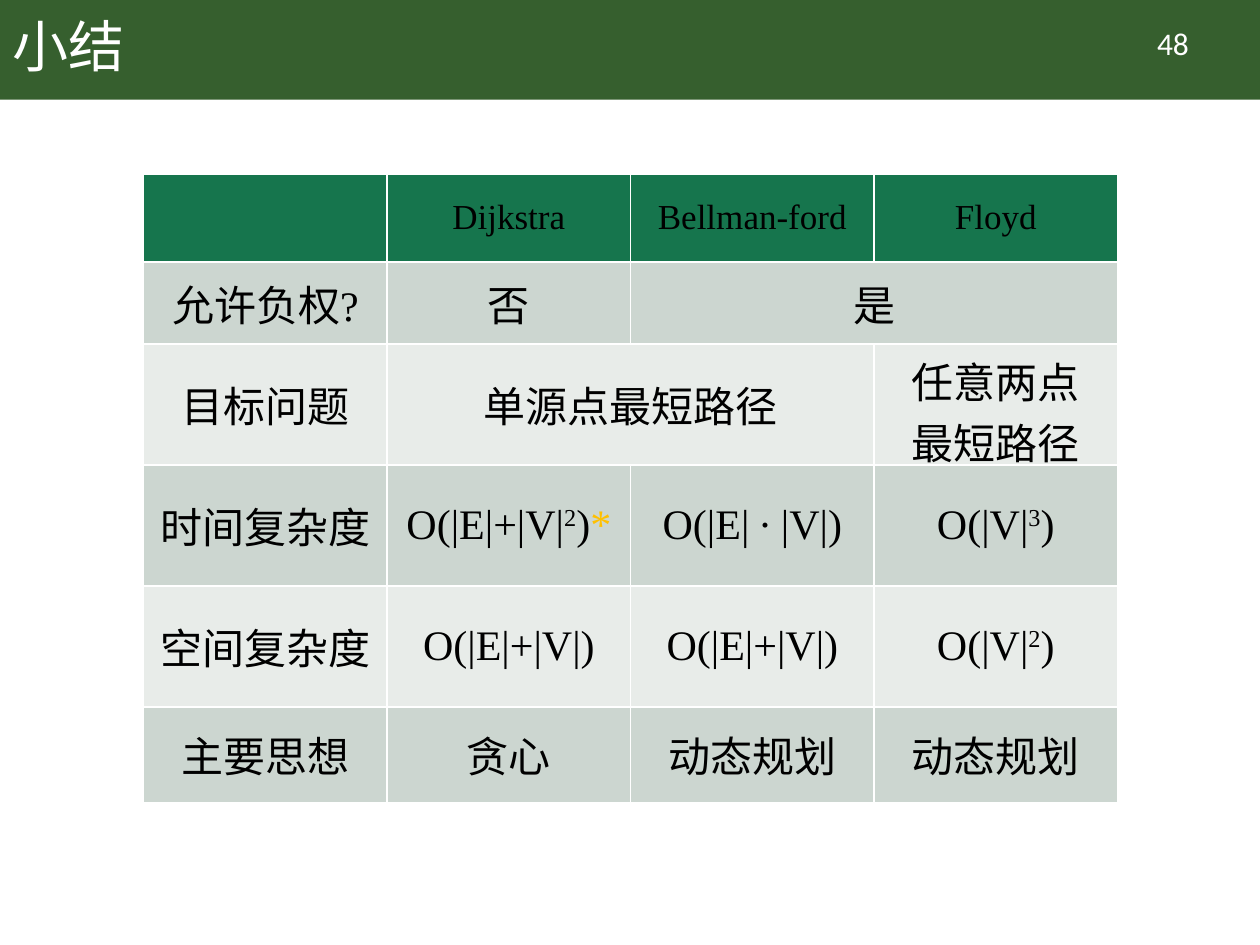
import pptx
import pptx.dml.color
import pptx.enum.shapes
import pptx.enum.text
import pptx.util

Inches = pptx.util.Inches
ALIGN = pptx.enum.text.PP_ALIGN
MIDDLE = pptx.enum.text.MSO_ANCHOR.MIDDLE

BAND_COLOR = "365F2E"
HEADER_COLOR = "16754D"
ROW_COLORS = ["CCD6D0", "E8ECE9"]
SQUARED = ("2", {"baseline": "30000"})
CUBED = ("3", {"baseline": "30000"})
STAR = ("*", {"color": "FFC000"})
SPAN = None

ROWS = [
    ["", "Dijkstra", "Bellman-ford", "Floyd"],
    ["允许负权?", "否", "是", SPAN],
    ["目标问题", "单源点最短路径", SPAN, "任意两点\n最短路径"],
    ["时间复杂度", ["O(|E|+|V|", SQUARED, ")", STAR], "O(|E| ∙ |V|)", ["O(|V|", CUBED, ")"]],
    ["空间复杂度", "O(|E|+|V|)", "O(|E|+|V|)", ["O(|V|", SQUARED, ")"]],
    ["主要思想", "贪心", "动态规划", "动态规划"],
]
ROW_HEIGHTS = [0.7, 0.65, 0.96, 0.96, 0.96, 0.76]
TABLE_LEFT, TABLE_TOP, TABLE_WIDTH = 1.14, 1.38, 7.73


def rgb(color):
    return pptx.dml.color.RGBColor.from_string(color)


def paint(target, color):
    target.fill.solid()
    target.fill.fore_color.rgb = rgb(color)


def write_text(frame, text, size, color="000000", font="Times New Roman",
               align=ALIGN.CENTER, line_spacing=None):
    paragraph = frame.paragraphs[0]
    paragraph.alignment = align
    paragraph.line_spacing = line_spacing
    for piece in [text] if isinstance(text, str) else text:
        words, changes = (piece, {}) if isinstance(piece, str) else piece
        for index, line in enumerate(words.split("\n")):
            if index:
                paragraph.add_line_break()
            run = paragraph.add_run()
            run.text = line
            run.font.name = font
            run.font.size = pptx.util.Pt(size)
            run.font.bold = False
            run.font.color.rgb = rgb(changes.get("color", color))
            if "baseline" in changes:
                run.font._element.set("baseline", changes["baseline"])


def place(shape, left, top, width, height):
    shape.left, shape.top = Inches(left), Inches(top)
    shape.width, shape.height = Inches(width), Inches(height)


def add_header(slide):
    band = slide.shapes.add_shape(pptx.enum.shapes.MSO_SHAPE.RECTANGLE,
                                  0, 0, Inches(10), Inches(0.79))
    band.shadow.inherit = False
    paint(band, BAND_COLOR)
    band.line.fill.background()
    slide.shapes._spTree.insert(2, band._element)

    title = slide.shapes.title
    place(title, 0, 0, 8.62, 0.79)
    title.text_frame.vertical_anchor = MIDDLE
    write_text(title.text_frame, "小结", size=32, color="FFFFFF",
               align=ALIGN.LEFT, line_spacing=0.9)

    number = slide.shapes.add_textbox(Inches(8.71), Inches(0.14), Inches(1.2), Inches(0.4))
    number.text_frame.word_wrap = True
    write_text(number.text_frame, "48", size=18, color="FFFFFF", font="Calibri")


def add_comparison(slide):
    columns = len(ROWS[0])
    table = slide.shapes.add_table(len(ROWS), columns, Inches(TABLE_LEFT), Inches(TABLE_TOP),
                                   Inches(TABLE_WIDTH), Inches(sum(ROW_HEIGHTS))).table
    for row, texts in enumerate(ROWS):
        table.rows[row].height = Inches(ROW_HEIGHTS[row])
        for column, text in enumerate(texts):
            cell = table.cell(row, column)
            paint(cell, ROW_COLORS[(row - 1) % 2] if row else HEADER_COLOR)
            if text is SPAN:
                table.cell(row, column - 1).merge(cell)
                continue
            cell.vertical_anchor = MIDDLE
            if text:
                write_text(cell.text_frame, text, size=24 if row else 20)


def main():
    presentation = pptx.Presentation()
    presentation.slide_width, presentation.slide_height = Inches(10), Inches(7.5)
    slide = presentation.slides.add_slide(presentation.slide_layouts[5])
    add_header(slide)
    add_comparison(slide)
    presentation.save("out.pptx")


if __name__ == "__main__":
    main()
